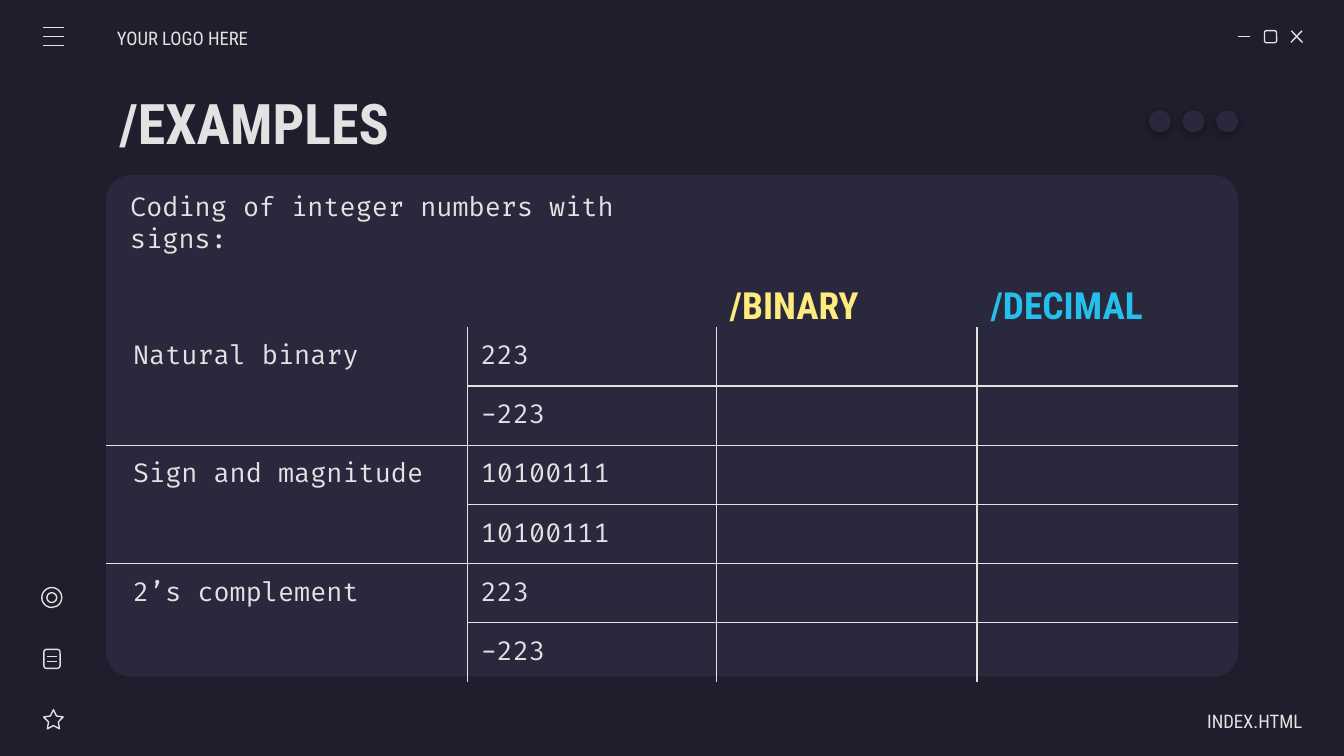
"""Build the examples slide: a table of signed integer codings in a window frame."""
from lxml.etree import SubElement
from pptx import Presentation
from pptx.dml.color import RGBColor
from pptx.enum.shapes import MSO_CONNECTOR, MSO_SHAPE
from pptx.enum.text import MSO_ANCHOR, PP_ALIGN
from pptx.oxml import parse_xml
from pptx.oxml.ns import nsdecls, qn
from pptx.util import Pt

BACKGROUND, PANEL, LIGHT = "1E1E2C", "29283D", "E2E2E2"
YELLOW, BLUE = "FFEA7D", "24BFEB"
CONDENSED, MONO = "Roboto Condensed", "Fira Code"
STROKE = 0.75
INSET = 7.2

CODINGS = [
    ("Natural binary", ("223", "-223")),
    ("Sign and magnitude", ("10100111", "10100111")),
    ("2’s complement", ("223", "-223")),
]
TABLE_LEFT, TABLE_TOP, ROW_HEIGHT = 56.88, 175.1, 31.7
COLUMN_WIDTHS = [193.5, 133.3, 139.8, 139.8]

LABELS = [
    ("YOUR LOGO HERE", (62.7, 8.7, 84.2, 21.6),
     dict(size=10, spacing=1.15, left=0)),
    ("INDEX.HTML", (613.4, 374.6, 84.2, 21.6),
     dict(size=10, spacing=1.15, right=0, align=PP_ALIGN.RIGHT)),
    ("/EXAMPLES", (56.88, 42.8, 567.4, 45.1), dict(size=30, bold=True)),
    ("/BINARY", (383.8, 150.4, 133.2, 25.2),
     dict(size=20, bold=True, color=YELLOW)),
    ("/DECIMAL", (523.6, 150.4, 133.2, 25.2),
     dict(size=20, bold=True, color=BLUE)),
    ("Coding of integer numbers with signs:", (62.7, 108.1, 333.4, 21.6),
     dict(size=14, font=MONO)),
]
ICON_LINES = [(23.3, y, 34.1, y) for y in (14.7, 19.6, 24.5)] + [
    (663.1, 19.6, 669.6, 19.6),
    (691.8, 16.5, 697.8, 22.8),
    (697.5, 16.5, 691.6, 22.7),
    (25.3, 351.6, 30.3, 351.6),
    (25.3, 354.3, 30.3, 354.3),
]
ICON_SHAPES = [
    (MSO_SHAPE.ROUNDED_RECTANGLE, (677.4, 16.4, 6.5, 6.5)),
    (MSO_SHAPE.ROUNDED_RECTANGLE, (23.5, 347.9, 8.7, 10.2)),
    (MSO_SHAPE.OVAL, (22.4, 314.8, 10.7, 10.7)),
    (MSO_SHAPE.OVAL, (25.1, 317.5, 5.3, 5.3)),
    (MSO_SHAPE.STAR_5_POINT, (23.4, 380.2, 10.5, 10.3)),
]
DOT_LEFT, DOT_TOP, DOT_SIZE, DOT_STEP = 615.6, 59.2, 11.6, 18


def rgb(value):
    """Return the colour for a hex string."""
    return RGBColor.from_string(value)


def write(frame, text, size=14, font=CONDENSED, color=LIGHT, bold=False,
          align=PP_ALIGN.LEFT, spacing=1):
    """Put one formatted paragraph into a text frame."""
    para = frame.paragraphs[0]
    para.alignment = align
    para.line_spacing = spacing
    span = para.add_run()
    span.text = text
    span.font.size = Pt(size)
    span.font.name = font
    span.font.bold = bold
    span.font.color.rgb = rgb(color)


def add_label(page, text, place, left=INSET, right=INSET, **style):
    """Add a vertically centred text box."""
    frame = page.shapes.add_textbox(*map(Pt, place)).text_frame
    frame.word_wrap = True
    frame.vertical_anchor = MSO_ANCHOR.MIDDLE
    frame.margin_left, frame.margin_right = Pt(left), Pt(right)
    frame.margin_top = frame.margin_bottom = Pt(INSET)
    write(frame, text, **style)


def add_figure(page, kind, place, fill=None):
    """Add a filled shape, or an outlined one when no fill is given."""
    shape = page.shapes.add_shape(kind, *map(Pt, place))
    shape.shadow.inherit = False
    if fill:
        shape.fill.solid()
        shape.fill.fore_color.rgb = rgb(fill)
        shape.line.fill.background()
    else:
        shape.fill.background()
        shape.line.color.rgb = rgb(LIGHT)
        shape.line.width = Pt(STROKE)
    return shape


def add_line(page, ends):
    """Add a thin straight line."""
    line = page.shapes.add_connector(MSO_CONNECTOR.STRAIGHT, *map(Pt, ends))
    line.line.color.rgb = rgb(LIGHT)
    line.line.width = Pt(STROKE)
    SubElement(line._element.spPr, qn("a:effectLst"))


def add_dot(page, left):
    """Add a window dot with a soft shadow below it."""
    dot = add_figure(page, MSO_SHAPE.OVAL, (left, DOT_TOP, DOT_SIZE, DOT_SIZE), PANEL)
    dot._element.spPr.find(qn("a:effectLst")).append(parse_xml(
        f'<a:outerShdw {nsdecls("a")} blurRad="{Pt(4.5)}" dist="{Pt(1.5)}" '
        'dir="5400000" algn="bl" rotWithShape="0"><a:srgbClr val="000000">'
        '<a:alpha val="30000"/></a:srgbClr></a:outerShdw>'))


def set_borders(cell, shown):
    """Draw the named sides of a cell and clear the others."""
    for side in "LRTB":
        paint = (f'<a:solidFill><a:srgbClr val="{LIGHT}"/></a:solidFill>'
                 if side in shown else "<a:noFill/>")
        cell._tc.get_or_add_tcPr().append(parse_xml(
            f'<a:ln{side} {nsdecls("a")} w="{Pt(STROKE)}">{paint}</a:ln{side}>'))


def add_codings(page):
    """Add the table with inner rules and two rows for each coding."""
    rows = [(name if index == 0 else "", value, "", "")
            for name, values in CODINGS for index, value in enumerate(values)]
    count, last = len(rows), len(COLUMN_WIDTHS) - 1
    table = page.shapes.add_table(
        count, last + 1, Pt(TABLE_LEFT), Pt(TABLE_TOP),
        Pt(sum(COLUMN_WIDTHS)), Pt(ROW_HEIGHT * count)).table
    table.first_row = table.horz_banding = False
    for column, width in zip(table.columns, COLUMN_WIDTHS):
        column.width = Pt(width)
    for r, row in enumerate(rows):
        table.rows[r].height = Pt(ROW_HEIGHT)
        for c, text in enumerate(row):
            cell = table.cell(r, c)
            shown = ("L" if c > 0 else "") + ("R" if c < last else "")
            if r > 0 and (c > 0 or r % 2 == 0):
                shown += "T"
            if r < count - 1 and (c > 0 or r % 2 == 1):
                shown += "B"
            set_borders(cell, shown)
            cell.fill.background()
            cell.vertical_anchor = MSO_ANCHOR.MIDDLE
            cell.margin_left = Pt(INSET * (2 if c == 0 else 1))
            cell.margin_right = Pt(INSET)
            cell.margin_top = cell.margin_bottom = Pt(INSET if text else 0)
            if text:
                write(cell.text_frame, text, font=MONO)


def main():
    """Assemble the slide and save it."""
    deck = Presentation()
    deck.slide_width, deck.slide_height = Pt(720), Pt(405)
    page = deck.slides.add_slide(deck.slide_layouts[6])
    page.background.fill.solid()
    page.background.fill.fore_color.rgb = rgb(BACKGROUND)
    panel = add_figure(page, MSO_SHAPE.ROUNDED_RECTANGLE,
                       (56.88, 93.8, 606.4, 268.7), PANEL)
    panel.adjustments[0] = 0.05
    for ends in ICON_LINES:
        add_line(page, ends)
    for kind, place in ICON_SHAPES:
        icon = add_figure(page, kind, place)
        if kind == MSO_SHAPE.STAR_5_POINT:
            icon.adjustments[0] = 0.25
    add_codings(page)
    for index in range(3):
        add_dot(page, DOT_LEFT + index * DOT_STEP)
    for text, place, style in LABELS:
        add_label(page, text, place, **style)
    deck.save("out.pptx")


if __name__ == "__main__":
    main()
